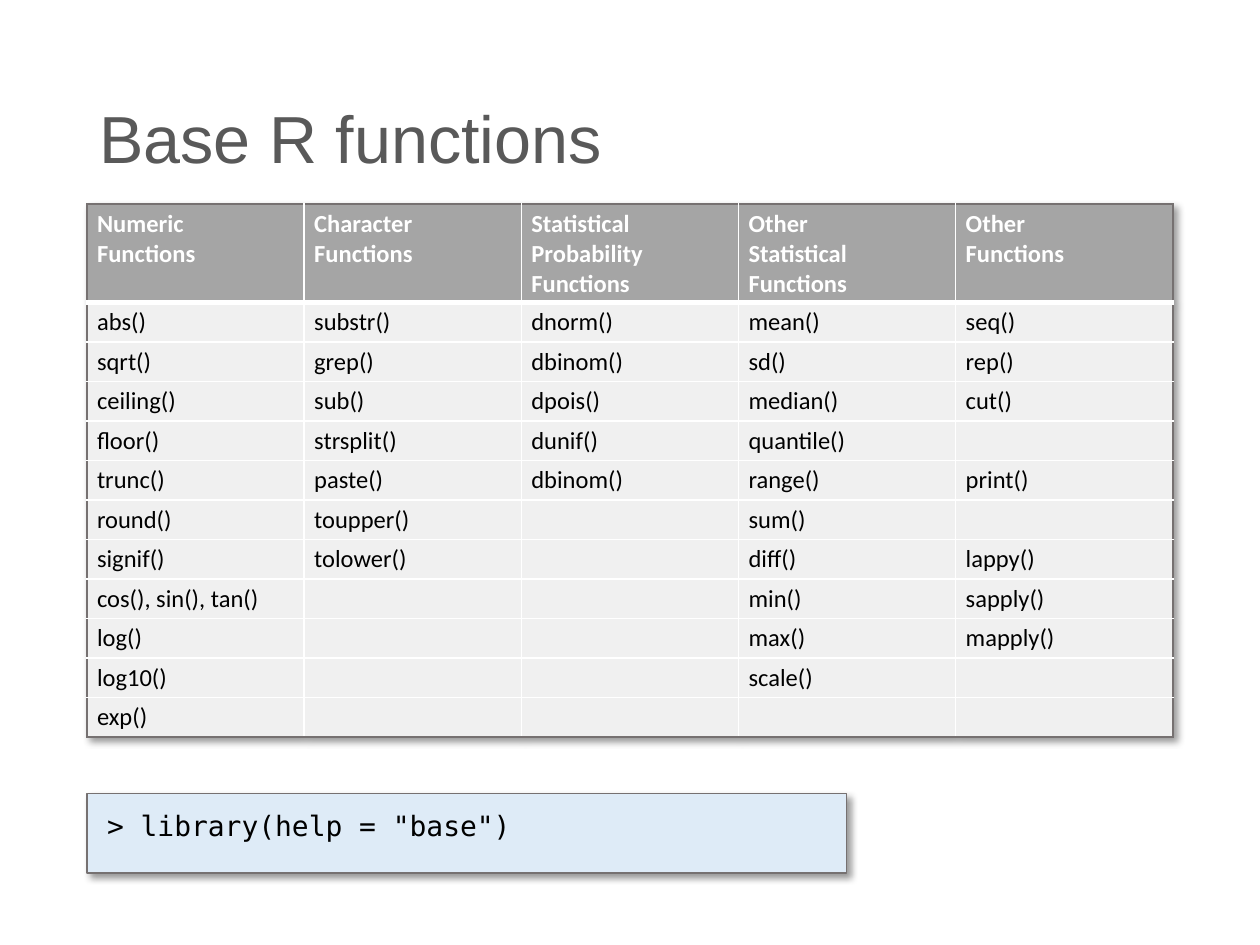
from itertools import zip_longest

from lxml import etree
from pptx import Presentation
from pptx.dml.color import RGBColor
from pptx.enum.shapes import MSO_SHAPE
from pptx.enum.text import MSO_ANCHOR, MSO_AUTO_SIZE, PP_ALIGN
from pptx.oxml import parse_xml
from pptx.oxml.ns import nsdecls, qn
from pptx.util import Inches, Pt

GRAY, WHITE = "767171", "FFFFFF"
LEFT = Inches(0.69)
SHADOW = (
    f'<a:effectLst {nsdecls("a")}><a:outerShdw blurRad="50800" dist="38100" '
    'dir="2700000" algn="tl" rotWithShape="0"><a:srgbClr val="000000">'
    '<a:alpha val="40000"/></a:srgbClr></a:outerShdw></a:effectLst>'
)


def color(value):
    return RGBColor.from_string(value)


def format_text(frame, font, size, text_color, bold=False):
    for run in frame.paragraphs[0].runs:
        run.font.name = font
        run.font.size = Pt(size)
        run.font.bold = bold
        run.font.color.rgb = color(text_color)


prs = Presentation()
prs.slide_width, prs.slide_height = Inches(10), Inches(7.5)
slide = prs.slides.add_slide(prs.slide_layouts[6])

# Title
title = slide.shapes.add_textbox(LEFT, Inches(0.4), Inches(8.62), Inches(1.45)).text_frame
title.word_wrap = True
title.vertical_anchor = MSO_ANCHOR.MIDDLE
title.text = "Base R functions"
title.paragraphs[0].line_spacing = 0.9
format_text(title, "Arial", 38, "595959")

# Functions by group; an empty string leaves a gap in the column
functions = {
    "Numeric\vFunctions": [
        "abs()", "sqrt()", "ceiling()", "floor()", "trunc()", "round()",
        "signif()", "cos(), sin(), tan()", "log()", "log10()", "exp()"],
    "Character\vFunctions": [
        "substr()", "grep()", "sub()", "strsplit()", "paste()", "toupper()", "tolower()"],
    "Statistical\vProbability\vFunctions": [
        "dnorm()", "dbinom()", "dpois()", "dunif()", "dbinom()"],
    "Other\vStatistical\vFunctions": [
        "mean()", "sd()", "median()", "quantile()", "range()", "sum()",
        "diff()", "min()", "max()", "scale()"],
    "Other\vFunctions": [
        "seq()", "rep()", "cut()", "", "print()", "", "lappy()", "sapply()", "mapply()"],
}
rows = [list(functions), *zip_longest(*functions.values(), fillvalue="")]
last_row, last_col = len(rows) - 1, len(functions) - 1

# Function table
table_frame = slide.shapes.add_table(
    len(rows), len(functions), LEFT, Inches(1.62), Inches(8.62), Inches(4.19))
table = table_frame.table
table.horz_banding = False
table._tbl.tblPr.insert(0, parse_xml(SHADOW))
for column in table.columns:
    column.width = Inches(8.62 / len(functions))

for r, row in enumerate(rows):
    header = r == 0
    table.rows[r].height = Inches(0.78 if header else 0.31)
    for c, label in enumerate(row):
        cell = table.cell(r, c)
        cell.margin_left, cell.margin_right = Inches(0.08), Inches(0.01)
        cell.margin_top = cell.margin_bottom = Inches(0.04)
        cell.vertical_anchor = MSO_ANCHOR.TOP if header else MSO_ANCHOR.BOTTOM
        cell.text_frame.text = label
        format_text(cell.text_frame, "Calibri", 14, WHITE if header else "000000", header)
        if not label:
            etree.SubElement(cell.text_frame.paragraphs[0]._p, qn("a:endParaRPr"), sz="1400")

        # Gray outer edge, white inner lines, thicker below the header
        edges = [
            ("lnL", c == 0, 1),
            ("lnR", c == last_col, 1),
            ("lnT", header, 3 if r == 1 else 1),
            ("lnB", r == last_row, 3 if header else 1),
        ]
        for tag, outer, width in edges:
            cell._tc.get_or_add_tcPr().append(parse_xml(
                f'<a:{tag} {nsdecls("a")} w="{Pt(width)}"><a:solidFill>'
                f'<a:srgbClr val="{GRAY if outer else WHITE}"/></a:solidFill></a:{tag}>'))
        cell.fill.solid()
        cell.fill.fore_color.rgb = color("A5A5A5" if header else "F0F0F0")

# Code box
code = slide.shapes.add_shape(
    MSO_SHAPE.RECTANGLE, LEFT, Inches(6.3), Inches(6.03), Inches(0.63))
code.fill.solid()
code.fill.fore_color.rgb = color("DEEBF7")
code.line.color.rgb = color(GRAY)
code.line.width = Pt(0.75)
code._element.spPr.append(parse_xml(SHADOW))
command = code.text_frame
command.word_wrap = True
command.auto_size = MSO_AUTO_SIZE.SHAPE_TO_FIT_TEXT
command.vertical_anchor = MSO_ANCHOR.TOP
command.margin_left = command.margin_top = Inches(0.16)
command.margin_right, command.margin_bottom = Inches(0.1), Inches(0.2)
command.text = '> library(help = "base")'
command.paragraphs[0].alignment = PP_ALIGN.LEFT
format_text(command, "DejaVu Sans Mono", 16, "000000")

prs.save("out.pptx")
